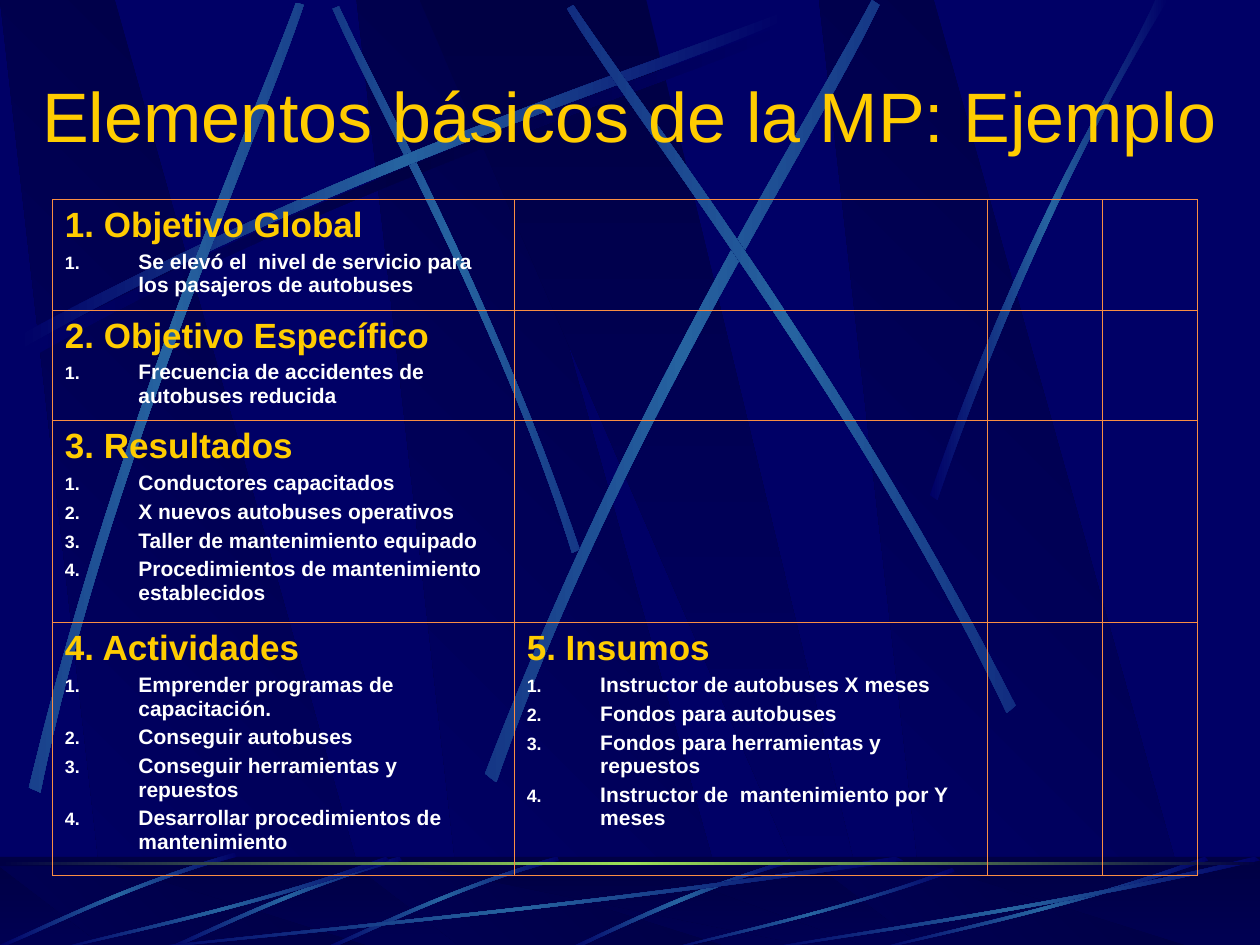
from math import cos, radians, sin

from lxml.etree import SubElement
from pptx import Presentation
from pptx.dml.color import RGBColor
from pptx.enum.shapes import MSO_SHAPE
from pptx.enum.text import MSO_ANCHOR, PP_ALIGN
from pptx.oxml.ns import qn
from pptx.util import Cm, Pt

COLORS = {
    "night": "000066",
    "shade": "000044",
    "beam": "2663A0",
    "horizon": "9CE157",
    "gold": "FFCC00",
    "white": "FFFFFF",
    "border": "F98D43",
}
GRID = Cm(2.54)
INSETS = {"margin_left": Cm(0.25), "margin_right": Cm(0.25),
          "margin_top": Cm(0.13), "margin_bottom": Cm(0.13)}
TITLE_FONT = {"name": "Arial", "size": Pt(40), "bold": False}
HEADING_FONT = {"name": "Arial", "size": Pt(20), "bold": True}
ITEM_FONT = {"name": "Arial", "size": Pt(12), "bold": True}

SLANT = [(0.86, 1), (3.02, 1), (0.91, 0), (0, 0)]
WEDGE = [(3.33, 0), (6.58, 1), (6.94, 1), (5.13, 0)]
LONG_BEAM = [(0.14, 2.67), (2.78, 1.25), (5.18, 0.51), (6.2, 0.1),
             (6.23, 0.16), (5.22, 0.61), (2.48, 1.43), (0.17, 2.77)]
TALL_BEAMS = [
    (45, [(4.6, 4.36), (3.91, 2.34), (3.02, 0.77), (2.69, 0.05),
          (2.64, 0.07), (2.95, 0.79), (3.98, 2.58), (4.54, 4.39)]),
    (0, LONG_BEAM),
    (311.7, [(0.23, 6.25), (0.93, 3.34), (1.97, 1.05), (2.35, 0.02),
             (2.41, 0.04), (2.07, 1.08), (0.86, 3.68), (0.32, 6.29)]),
    (321.6, [(3.85, 6.14), (4.98, 3.2), (6.38, 1.02), (6.92, 0),
             (6.98, 0.04), (6.49, 1.08), (4.86, 3.55), (3.94, 6.21)]),
    (34.8, [(8.06, 5.6), (6.7, 2.93), (5.16, 0.95), (4.55, 0.04),
            (4.5, 0.07), (5.07, 1.01), (6.85, 3.25), (7.99, 5.66)]),
    (0, [(7.38, 3.93), (8.14, 1.73), (8.88, 0.66), (9.17, 0),
         (9.27, 0), (8.36, 1.45), (7.69, 3.22), (7.44, 3.97)]),
]
CENTER_RAY = [(6.27, 0.02), (5.37, 0.29), (4.77, 0.62), (4.48, 0.74),
              (4.53, 0.75), (4.9, 0.57), (5.71, 0.2), (6.28, 0.05)]
SHORT_RAY = [(1.86, 0), (0.99, 0.25), (0.31, 0.6), (0, 0.73),
             (0.01, 0.75), (0.32, 0.63), (1.09, 0.23), (1.88, 0.03)]
WIDE_RAY = [(1, 0.04), (0.57, 0.57), (0.17, 0.85), (0, 1),
            (0, 0.99), (0.17, 0.81), (0.61, 0.51), (0.99, 0)]

ROWS = [
    [("1. Objetivo Global",
      ["Se elevó el  nivel de servicio para los pasajeros de autobuses"])],
    [("2. Objetivo Específico", ["Frecuencia de accidentes de autobuses reducida"])],
    [("3. Resultados",
      ["Conductores capacitados", "X nuevos autobuses operativos",
       "Taller de mantenimiento equipado",
       "Procedimientos de mantenimiento establecidos"])],
    [("4. Actividades",
      ["Emprender programas de capacitación.", "Conseguir autobuses",
       "Conseguir herramientas y repuestos",
       "Desarrollar procedimientos de mantenimiento"]),
     ("5. Insumos",
      ["Instructor de autobuses X meses", "Fondos para autobuses",
       "Fondos para herramientas y repuestos",
       "Instructor de  mantenimiento por Y meses"])],
]
COLUMN_WIDTHS = [9.31, 9.53, 2.33, 1.91]
ROW_HEIGHTS = [2.23, 2.23, 4.07, 5.1]


def apply(target, formats):
    for name, value in formats.items():
        setattr(target, name, value)


def paint(shape, tones, angle):
    shape.shadow.inherit = False
    shape.line.fill.background()
    shape.fill.gradient()
    shape.fill.gradient_angle = (360 - angle) % 360
    gradient = shape._element.spPr.find(qn("a:gradFill"))
    gradient.set("rotWithShape", "0")
    stops = gradient.find(qn("a:gsLst"))
    for stop in list(stops):
        stops.remove(stop)
    for index, tone in enumerate(tones):
        stop = SubElement(stops, qn("a:gs"), pos=str(100000 * index // (len(tones) - 1)))
        SubElement(stop, qn("a:srgbClr"), val=COLORS[tone])


def outline(slide, box, points):
    local = [(x * 1000, y * 1000) for x, y in points]
    builder = slide.shapes.build_freeform(*local[0], scale=GRID / 1000)
    builder.add_line_segments(local[1:], close=True)
    return builder.convert_to_shape(Cm(box[0]), Cm(box[1]))


def bend(shape):
    lines = list(shape._element.iter(qn("a:lnTo")))
    for first, second, third in (lines[0:3], lines[4:7]):
        first.tag = qn("a:cubicBezTo")
        for line in (second, third):
            first.append(line[0])
            line.getparent().remove(line)


def turn(point, degrees):
    x, y = point
    c, s = cos(radians(degrees)), sin(radians(degrees))
    return x * c - y * s, x * s + y * c


def level(points, rotation):
    flat = [turn(point, -rotation) for point in points]
    middle = [(min(axis) + max(axis)) / 2 for axis in zip(*flat)]
    center = turn(middle, rotation)
    return [(x - middle[0] + center[0], y - middle[1] + center[1]) for x, y in flat]


def beam(slide, box, controls, rotation=0, tone="beam", shift=(0, 0), stretch=(1, 1)):
    placed = [(x * stretch[0] + shift[0], y * stretch[1] + shift[1]) for x, y in controls]
    streak = outline(slide, box, level(placed, rotation))
    bend(streak)
    streak.rotation = rotation
    paint(streak, ["night", tone, "night"], 180)


def panels(slide, box):
    height = Cm(box[3]) / GRID
    for shift, angle, corners in ((2.83, 135, SLANT), (0, 135, SLANT),
                                  (6.5, 135, SLANT), (0, 90, WEDGE)):
        points = [(x + shift, y * height) for x, y in corners]
        paint(outline(slide, box, points), ["shade", "night"], angle)


def band(slide, box):
    return slide.shapes.add_shape(MSO_SHAPE.RECTANGLE, *map(Cm, box))


def backdrop(slide, box):
    panels(slide, box)
    beam(slide, box, LONG_BEAM, tone="shade", shift=(0.06, 0.08))
    for rotation, controls in TALL_BEAMS:
        beam(slide, box, controls, rotation)


def floor(slide, box):
    left, top, width, height = box
    paint(band(slide, box), ["shade", "night"], 90)
    panels(slide, (left, top + 0.2, width, 1.68))
    veil = band(slide, box)
    veil.shadow.inherit = False
    veil.line.fill.background()
    veil.fill.solid()
    veil.fill.fore_color.rgb = RGBColor.from_string(COLORS["shade"])
    tint = veil._element.spPr.find(qn("a:solidFill")).find(qn("a:srgbClr"))
    SubElement(tint, qn("a:alpha"), val="50000")
    beam(slide, box, CENTER_RAY)
    for shift in ((2.56, 0), (1.31, 0), (0, -0.03)):
        beam(slide, box, SHORT_RAY, 314.9, shift=shift)
    for x, y, across, down in ((1, 0, 6.17, 0.75), (0.42, 0, 2.67, 0.75),
                               (5.27, 0.09, 2.31, 0.66), (6.92, 0, 2.67, 0.75),
                               (6, 0, 4, 0.75)):
        beam(slide, box, WIDE_RAY, shift=(x, y), stretch=(across, down))
    paint(band(slide, (left, top + 0.1, width, 0.06)), ["shade", "horizon", "shade"], 180)


def write(paragraph, text, formats, tone):
    run = paragraph.add_run()
    run.text = text
    apply(run.font, formats)
    run.font.color.rgb = RGBColor.from_string(COLORS[tone])


def title(slide, box):
    frame = slide.shapes.add_textbox(*map(Cm, box)).text_frame
    apply(frame, {**INSETS, "word_wrap": True, "vertical_anchor": MSO_ANCHOR.MIDDLE})
    frame.paragraphs[0].alignment = PP_ALIGN.CENTER
    write(frame.paragraphs[0], "Elementos básicos de la MP: Ejemplo", TITLE_FONT, "gold")


def hang(paragraph, before, numbered):
    paragraph.space_before = Pt(before)
    properties = paragraph._p.get_or_add_pPr()
    properties.set("marL", str(Cm(1.48)))
    properties.set("indent", str(-Cm(1.48)))
    if numbered:
        bullet = SubElement(properties, qn("a:buClr"))
        SubElement(bullet, qn("a:srgbClr"), val=COLORS["white"])
        SubElement(properties, qn("a:buSzPct"), val="85000")
        SubElement(properties, qn("a:buAutoNum"), type="arabicPeriod")


def frame_cell(cell):
    apply(cell, INSETS)
    properties = cell._tc.get_or_add_tcPr()
    for side in ("lnL", "lnR", "lnT", "lnB"):
        edge = SubElement(properties, qn(f"a:{side}"), w=str(Pt(0.45)))
        SubElement(SubElement(edge, qn("a:solidFill")), qn("a:srgbClr"), val=COLORS["border"])
    cell.fill.background()


def matrix(slide, box):
    table = slide.shapes.add_table(len(ROW_HEIGHTS), len(COLUMN_WIDTHS), *map(Cm, box)).table
    apply(table, {"first_row": False, "horz_banding": False})
    for column, width in zip(table.columns, COLUMN_WIDTHS):
        column.width = Cm(width)
    for row, height in zip(table.rows, ROW_HEIGHTS):
        row.height = Cm(height)
    for cell in table.iter_cells():
        frame_cell(cell)
    for row, entries in enumerate(ROWS):
        for column, (heading, items) in enumerate(entries):
            frame = table.cell(row, column).text_frame
            hang(frame.paragraphs[0], 5, False)
            write(frame.paragraphs[0], heading, HEADING_FONT, "gold")
            for item in items:
                paragraph = frame.add_paragraph()
                hang(paragraph, 3, True)
                write(paragraph, item, ITEM_FONT, "white")


def main():
    deck = Presentation()
    apply(deck, {"slide_width": Cm(25.4), "slide_height": Cm(19.05)})
    slide = deck.slides.add_slide(deck.slide_layouts[6])
    slide.background.fill.solid()
    slide.background.fill.fore_color.rgb = RGBColor.from_string(COLORS["night"])
    backdrop(slide, (0, 0, 25.4, 19.1))
    floor(slide, (0, 17.27, 25.4, 1.9))
    title(slide, (0.2, 1.6, 24.97, 1.4))
    matrix(slide, (1.06, 4.02, sum(COLUMN_WIDTHS), sum(ROW_HEIGHTS)))
    deck.save("out.pptx")


if __name__ == "__main__":
    main()
